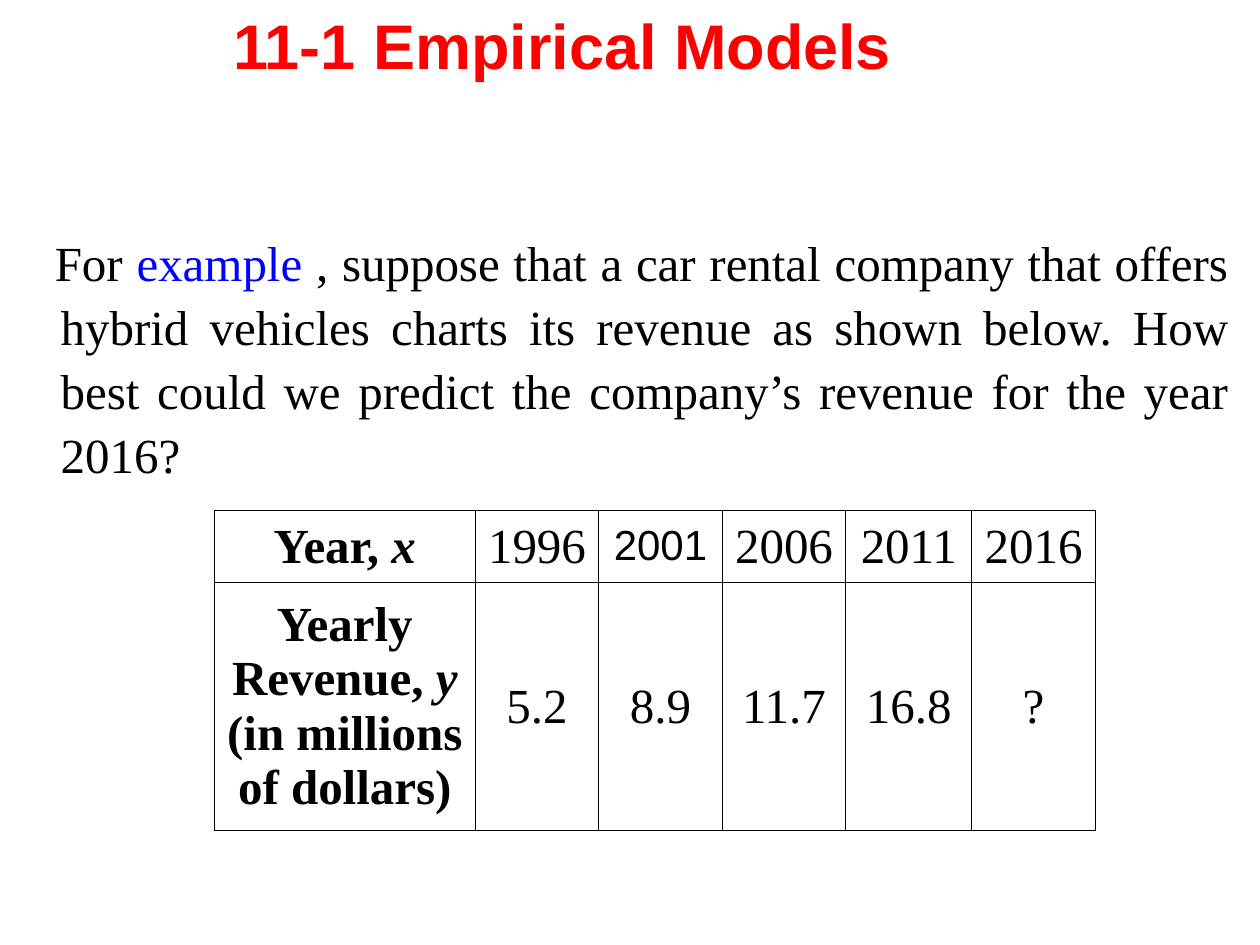
from lxml import etree
from pptx import Presentation
from pptx.dml.color import RGBColor
from pptx.enum.text import MSO_ANCHOR, MSO_AUTO_SIZE, PP_ALIGN
from pptx.oxml.ns import qn
from pptx.util import Cm, Pt

RED = RGBColor(0xFF, 0x00, 0x00)
BLUE = RGBColor(0x00, 0x00, 0xFF)
BLACK = RGBColor(0x00, 0x00, 0x00)
SANS, SERIF = "Arial", "Times New Roman"
LEFT, CENTER, JUSTIFY = PP_ALIGN.LEFT, PP_ALIGN.CENTER, PP_ALIGN.JUSTIFY
TOP, MIDDLE = MSO_ANCHOR.TOP, MSO_ANCHOR.MIDDLE
NO_AUTOFIT = MSO_AUTO_SIZE.NONE

COLUMN_WIDTHS = (5.26, 2.49, 2.49, 2.49, 2.54, 2.49)
ROW_HEIGHTS = (1.45, 5)
YEARS = ("1996", "2001", "2006", "2011", "2016")
REVENUES = ("5.2", "8.9", "11.7", "16.8", "?")


def add_run(p, text, size=28, font=SERIF, color=BLACK, bold=False, italic=False):
    r = p.add_run()
    r.text = text
    r.font.size = Pt(size)
    r.font.name = font
    r.font.color.rgb = color
    r.font.bold = bold
    r.font.italic = italic


def place(sp, left, top, width, height):
    sp.left, sp.top = Cm(left), Cm(top)
    sp.width, sp.height = Cm(width), Cm(height)
    tf = sp.text_frame
    tf.word_wrap = True
    tf.auto_size = NO_AUTOFIT
    tf.vertical_anchor = TOP
    return tf


def fill_title(sp):
    tf = place(sp, 4.45, 0, 14.17, 3.18)
    p = tf.paragraphs[0]
    p.alignment = LEFT
    add_run(p, "11-1 Empirical Models", 36, SANS, RED, bold=True)


def fill_body(sp):
    tf = place(sp, 0, 4.45, 24.77, 5.28)
    tf.margin_right = 0
    p = tf.paragraphs[0]
    p.alignment = JUSTIFY
    p.space_before = Pt(3.5)
    p.line_spacing = 1.09
    pPr = p._p.get_or_add_pPr()
    pPr.set("marL", str(Cm(0.97)))
    pPr.set("indent", str(Cm(-0.12)))
    etree.SubElement(pPr, qn("a:buNone"))
    add_run(p, "For ")
    add_run(p, "example", color=BLUE)
    add_run(p, " , suppose that a car rental company that offers hybrid vehicles "
               "charts its revenue as shown below. How best could we predict "
               "the company’s revenue for the year 2016?")


def add_borders(cell):
    tcPr = cell._tc.get_or_add_tcPr()
    for side in ("lnL", "lnR", "lnT", "lnB"):
        ln = etree.SubElement(tcPr, qn(f"a:{side}"), w=str(Pt(0.45)))
        fill = etree.SubElement(ln, qn("a:solidFill"))
        etree.SubElement(fill, qn("a:srgbClr"), val=str(BLACK))


def format_cell(cell):
    add_borders(cell)
    cell.fill.background()
    cell.vertical_anchor = MIDDLE
    p = cell.text_frame.paragraphs[0]
    p.alignment = CENTER
    return p


def add_revenue_table(s):
    table = s.shapes.add_table(
        len(ROW_HEIGHTS), len(COLUMN_WIDTHS), Cm(4.32), Cm(10.29),
        Cm(sum(COLUMN_WIDTHS)), Cm(sum(ROW_HEIGHTS))).table
    table.first_row = table.horz_banding = False
    for column, width in zip(table.columns, COLUMN_WIDTHS):
        column.width = Cm(width)
    for row, height in zip(table.rows, ROW_HEIGHTS):
        row.height = Cm(height)

    p = format_cell(table.cell(0, 0))
    add_run(p, "Year, ", bold=True)
    add_run(p, "x", bold=True, italic=True)
    p = format_cell(table.cell(1, 0))
    add_run(p, "Yearly Revenue, ", bold=True)
    add_run(p, "y ", bold=True, italic=True)
    add_run(p, "(in millions of dollars)", bold=True)

    for col, (year, revenue) in enumerate(zip(YEARS, REVENUES), 1):
        size, font = (24, SANS) if year == "2001" else (28, SERIF)
        add_run(format_cell(table.cell(0, col)), year, size, font)
        add_run(format_cell(table.cell(1, col)), revenue)


def main():
    prs = Presentation()
    prs.slide_width, prs.slide_height = Cm(25.4), Cm(19.05)
    s = prs.slides.add_slide(prs.slide_layouts[1])
    fill_title(s.shapes.title)
    fill_body(s.placeholders[1])
    add_revenue_table(s)
    prs.save("out.pptx")


if __name__ == "__main__":
    main()
